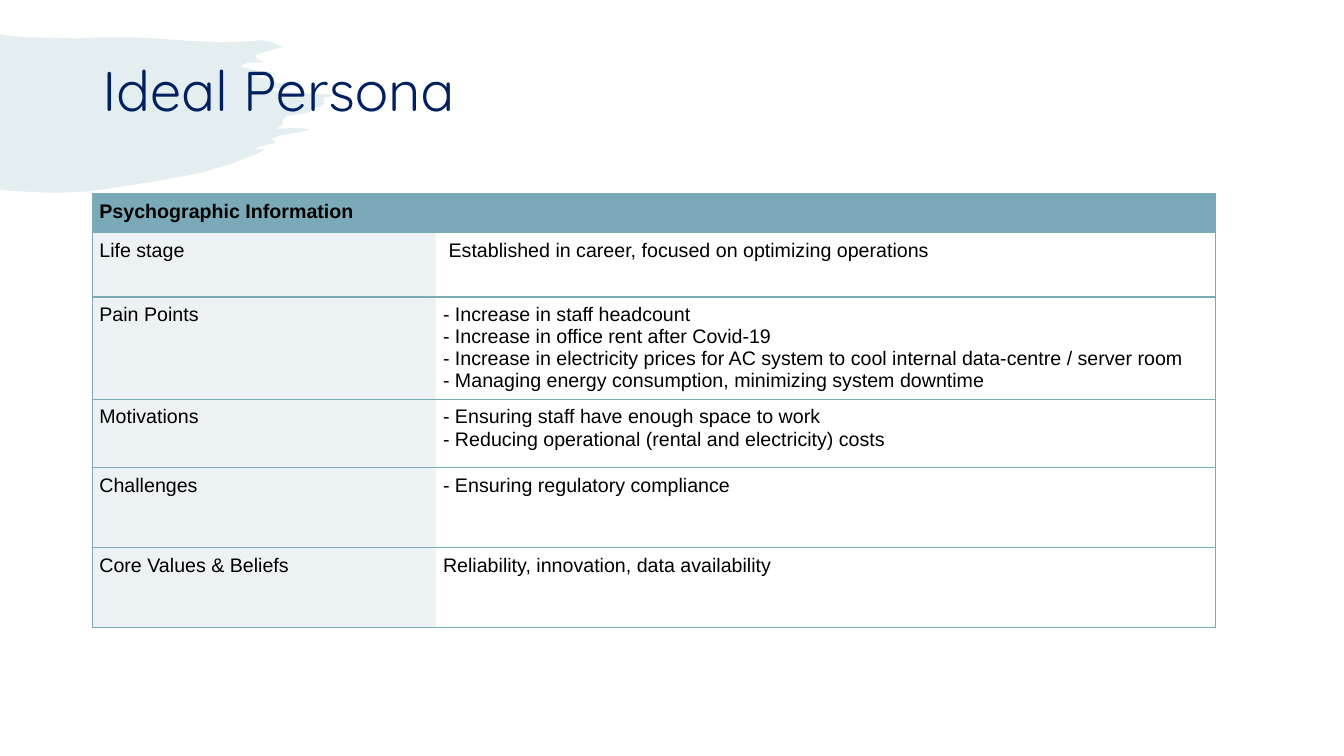
from lxml.etree import SubElement
from pptx import Presentation
from pptx.dml.color import RGBColor
from pptx.enum.text import MSO_ANCHOR, PP_ALIGN
from pptx.oxml.ns import qn
from pptx.util import Pt

# Content
TITLE = "Ideal Persona"
HEADER = "Psychographic Information"
ROWS = [  # label, lines, row height
    ("Life stage", ["Established in career, focused on optimizing operations"], 46),
    ("Pain Points", [
        "- Increase in staff headcount",
        "- Increase in office rent after Covid-19",
        "- Increase in electricity prices for AC system to cool internal data-centre / server room",
        "- Managing energy consumption, minimizing system downtime"], 73),
    ("Motivations", [
        "- Ensuring staff have enough space to work",
        "- Reducing operational (rental and electricity) costs"], 49),
    ("Challenges", ["- Ensuring regulatory compliance"], 57),
    ("Core Values & Beliefs", ["Reliability, innovation, data availability"], 57),
]

# Style and geometry, in points
TEAL, PALE, WHITE, BLACK, NAVY = "7AA9B7", "ECF1F3", "FFFFFF", "000000", "002060"
LEFT, TOP, COLS, HEADER_H = 66, 138.2, (245.5, 556.5), 28
INSET = 5
FIRST_LINE_INDENT = 4

# Outline of the brush stroke, in hundredths of an inch
BRUSH = [
    (0, 34), (6, 35), (15, 36.5), (25, 37), (66, 38), (84, 38.5), (102, 37), (126, 36.7),
    (151, 38), (194, 41), (221, 42), (248, 41), (259, 40.5), (270, 41.5), (280, 47),
    (271, 49), (255, 54), (253, 57), (256, 59), (262, 62), (254, 62), (246, 62), (238, 66),
    (246, 68), (256, 70), (266, 71), (275, 74), (263, 74), (251, 75), (263, 78), (273, 81),
    (276, 83), (280, 82), (284, 81), (288, 83), (290, 85), (287, 88), (284, 88), (263, 88),
    (280, 91), (296, 92.5), (330, 94), (327, 96), (321, 97), (322, 103), (318, 106),
    (312, 107), (307, 111), (300, 113), (291, 114), (283, 116), (280, 120), (281, 123),
    (278, 125), (274, 128), (291, 127), (308, 128), (299, 131), (279, 134), (269, 138),
    (272, 139), (273, 142), (263, 144), (252, 148), (257, 148.5), (263, 148), (256, 152),
    (231, 162), (197, 172), (153, 180), (102, 188), (84, 190.2), (65, 191), (44, 191.2),
    (23, 190), (7, 189), (0, 188),
]


def rgb(value):
    return RGBColor.from_string(value)


def write(tf, lines, size=14, font="Arial", color=BLACK, bold=False, spacing=None):
    """Fill a text frame with one paragraph per line."""
    for i, line in enumerate(lines):
        p = tf.paragraphs[0] if i == 0 else tf.add_paragraph()
        p.alignment = PP_ALIGN.LEFT
        p.line_spacing = spacing
        r = p.add_run()
        r.text = line
        r.font.size, r.font.name, r.font.bold = Pt(size), font, bold
        r.font.color.rgb = rgb(color)


def format_cell(cell, fill, sides):
    """Draw the named sides, hide the others, then set fill and margins."""
    tc_pr = cell._tc.get_or_add_tcPr()
    for side in "LRTB":
        ln = SubElement(tc_pr, qn("a:ln" + side), w=str(Pt(1)))
        if side in sides:
            SubElement(SubElement(ln, qn("a:solidFill")), qn("a:srgbClr"), val=TEAL)
        else:
            SubElement(ln, qn("a:noFill"))
    cell.fill.solid()
    cell.fill.fore_color.rgb = rgb(fill)
    cell.margin_left = cell.margin_right = Pt(INSET)
    cell.margin_top = cell.margin_bottom = Pt(INSET)
    cell.vertical_anchor = MSO_ANCHOR.TOP


def add_brush(slide):
    builder = slide.shapes.build_freeform(*BRUSH[0], scale=Pt(0.72))
    builder.add_line_segments(BRUSH[1:], close=True)
    sp = builder.convert_to_shape()
    sp.shadow.inherit = False
    sp.line.fill.background()
    sp.fill.solid()
    sp.fill.fore_color.rgb = rgb(TEAL)
    color = sp._element.spPr.find(qn("a:solidFill")).find(qn("a:srgbClr"))
    SubElement(color, qn("a:alpha"), val="20000")
    slide.shapes._spTree.insert(2, sp._element)  # behind the title


def add_title(slide):
    sp = slide.shapes.title
    sp.left, sp.top, sp.width, sp.height = Pt(66), Pt(29), Pt(817), Pt(75.6)
    tf = sp.text_frame
    tf.vertical_anchor = MSO_ANCHOR.MIDDLE
    write(tf, [TITLE], size=40, font="Quicksand", color=NAVY, spacing=0.9)


def add_persona_table(slide):
    heights = [HEADER_H] + [height for _, _, height in ROWS]
    table = slide.shapes.add_table(len(heights), len(COLS), Pt(LEFT), Pt(TOP),
                                   Pt(sum(COLS)), Pt(sum(heights))).table
    table.first_row = table.horz_banding = False
    for col, width in zip(table.columns, COLS):
        col.width = Pt(width)
    for row, height in zip(table.rows, heights):
        row.height = Pt(height)

    # Header across both columns
    table.cell(0, 0).merge(table.cell(0, 1))
    for c in range(len(COLS)):
        format_cell(table.cell(0, c), TEAL, "LRTB")
    write(table.cell(0, 0).text_frame, [HEADER], bold=True)

    # Label and value cells
    for i, (label, lines, _) in enumerate(ROWS, start=1):
        name, value = table.cell(i, 0), table.cell(i, 1)
        format_cell(name, PALE, "LTB")
        format_cell(value, WHITE, "RTB")
        write(name.text_frame, [label])
        write(value.text_frame, lines)
    table.cell(1, 1).margin_left = Pt(INSET + FIRST_LINE_INDENT)


def main():
    prs = Presentation()
    prs.slide_width, prs.slide_height = Pt(960), Pt(540)
    slide = prs.slides.add_slide(prs.slide_layouts[5])
    add_brush(slide)
    add_title(slide)
    add_persona_table(slide)
    prs.save("out.pptx")


if __name__ == "__main__":
    main()
